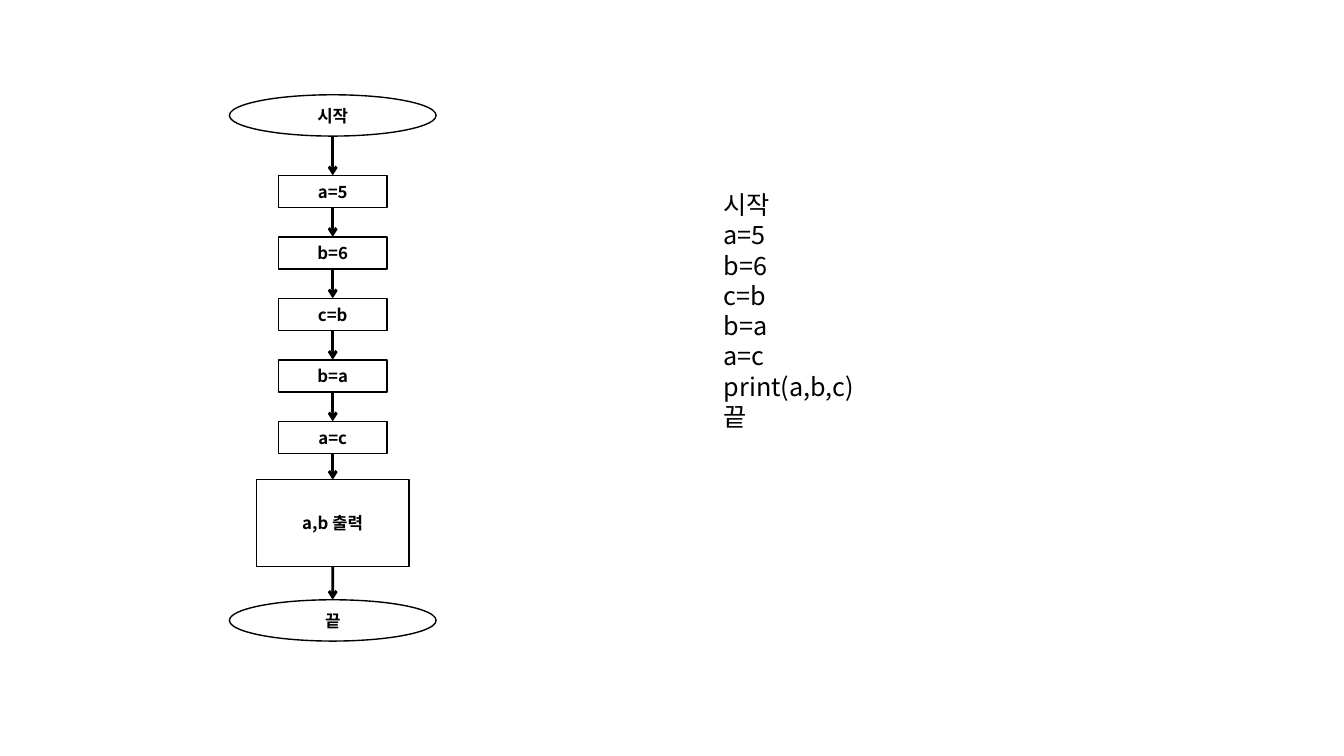
import pptx
import pptx.dml.color
import pptx.enum.shapes
import pptx.enum.text
import pptx.oxml.ns
import pptx.util
import lxml.etree

FONT = "Noto Sans CJK KR"
INK = "000000"
SLIDE_WIDTH, SLIDE_HEIGHT = 13.33, 7.5
FLOW_CENTER = 3.3
FIRST_STEP_TOP = 1.74
STEP_PITCH = 0.61
STEP_SIZE = (1.08, 0.32)
OUTPUT_SIZE = (1.51, 0.86)
TERMINAL_SIZE = (2.05, 0.41)
ASSIGNMENTS = ["a=5", "b=6", "c=b", "b=a", "a=c"]
PSEUDOCODE = ["시작", *ASSIGNMENTS, "print(a,b,c)", "끝"]

inches = pptx.util.Inches
points = pptx.util.Pt
shapes_enum = pptx.enum.shapes
OVAL = shapes_enum.MSO_SHAPE.OVAL
PROCESS = shapes_enum.MSO_SHAPE.FLOWCHART_PROCESS


def color(hex_code):
    return pptx.dml.color.RGBColor.from_string(hex_code)


def add_element(parent, tag, **attributes):
    return lxml.etree.SubElement(parent, pptx.oxml.ns.qn(tag), attributes)


def style_text(frame, size, bold=False):
    for paragraph in frame.paragraphs:
        for run in paragraph.runs:
            run.font.size = points(size)
            run.font.bold = bold
            run.font.color.rgb = color(INK)
            run.font.name = FONT
            add_element(run.font._element, "a:ea", typeface=FONT)


def add_node(slide, kind, text, top, size):
    width, height = size
    node = slide.shapes.add_shape(
        kind, inches(FLOW_CENTER - width / 2), inches(top), inches(width), inches(height))
    node.shadow.inherit = False
    node.fill.background()
    node.line.color.rgb = color(INK)
    node.line.width = points(1)
    frame = node.text_frame
    frame.text = text
    frame.vertical_anchor = pptx.enum.text.MSO_ANCHOR.MIDDLE
    frame.paragraphs[0].alignment = pptx.enum.text.PP_ALIGN.CENTER
    style_text(frame, 12, bold=True)
    return node


def add_arrow(slide, upper, lower):
    center = inches(FLOW_CENTER)
    arrow = slide.shapes.add_connector(
        shapes_enum.MSO_CONNECTOR.STRAIGHT,
        center, upper.top + upper.height, center, lower.top)
    if upper.auto_shape_type == PROCESS:
        arrow.begin_connect(upper, 2)
    arrow.end_connect(lower, 0)
    arrow.line.color.rgb = color(INK)
    arrow.line.width = points(2)
    add_element(arrow.line._get_or_add_ln(), "a:tailEnd", type="arrow")
    add_element(arrow._element.spPr, "a:effectLst")


def add_flowchart(slide):
    steps = [
        add_node(slide, PROCESS, text, FIRST_STEP_TOP + row * STEP_PITCH, STEP_SIZE)
        for row, text in enumerate(ASSIGNMENTS)
    ]
    start = add_node(slide, OVAL, "시작", 0.94, TERMINAL_SIZE)
    output = add_node(slide, PROCESS, "a,b 출력", 4.76, OUTPUT_SIZE)
    end = add_node(slide, OVAL, "끝", 5.95, TERMINAL_SIZE)
    sequence = [start, *steps, output, end]
    for upper, lower in zip(sequence, sequence[1:]):
        add_arrow(slide, upper, lower)


def add_pseudocode(slide):
    listing = slide.shapes.add_textbox(
        inches(7.08), inches(1.83), inches(3.91), inches(2.52))
    frame = listing.text_frame
    frame.word_wrap = True
    frame.auto_size = pptx.enum.text.MSO_AUTO_SIZE.SHAPE_TO_FIT_TEXT
    frame.text = "\n".join(PSEUDOCODE)
    style_text(frame, 18)


def main():
    presentation = pptx.Presentation()
    presentation.slide_width = inches(SLIDE_WIDTH)
    presentation.slide_height = inches(SLIDE_HEIGHT)
    slide = presentation.slides.add_slide(presentation.slide_layouts[6])
    add_pseudocode(slide)
    add_flowchart(slide)
    presentation.save("out.pptx")


if __name__ == "__main__":
    main()
